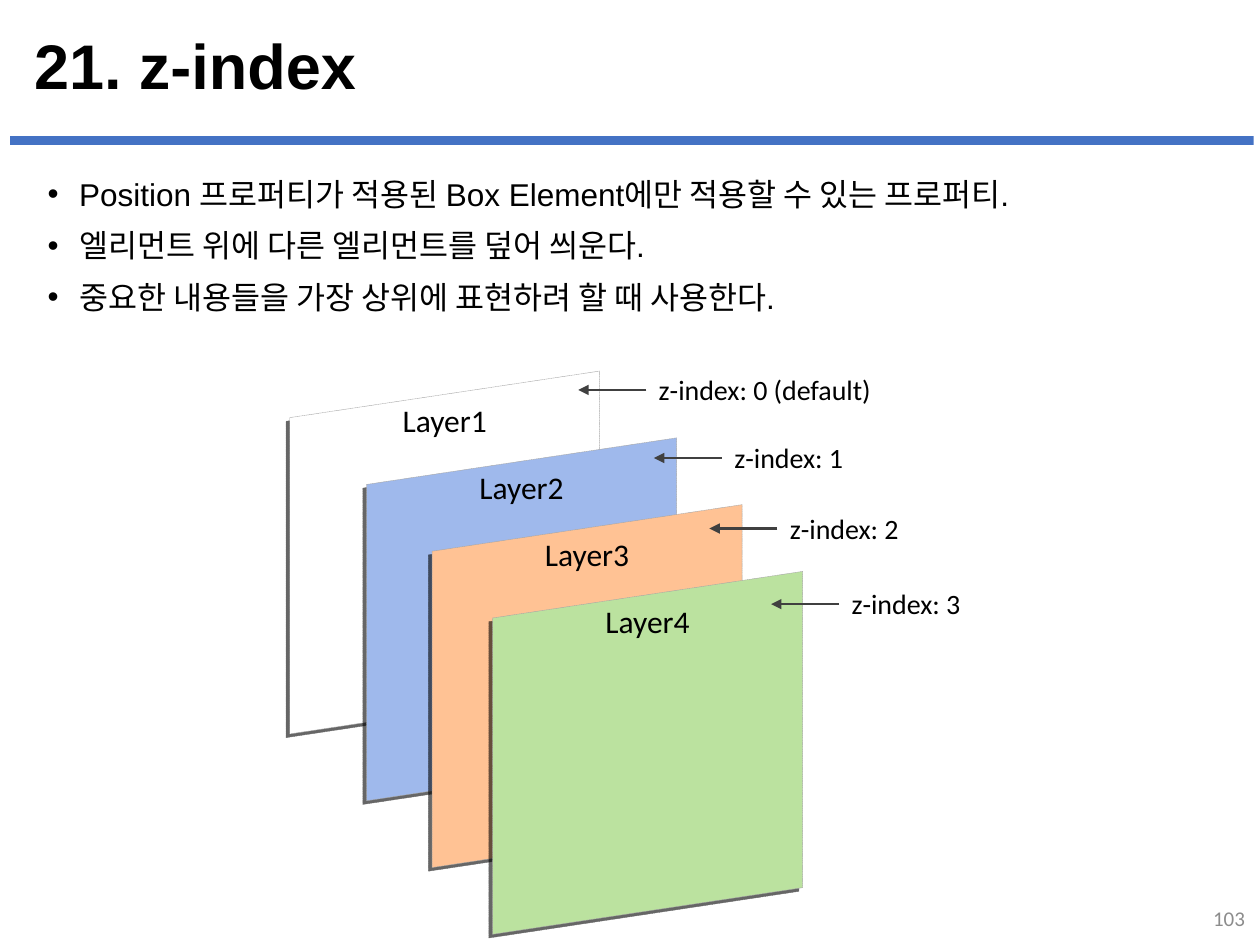
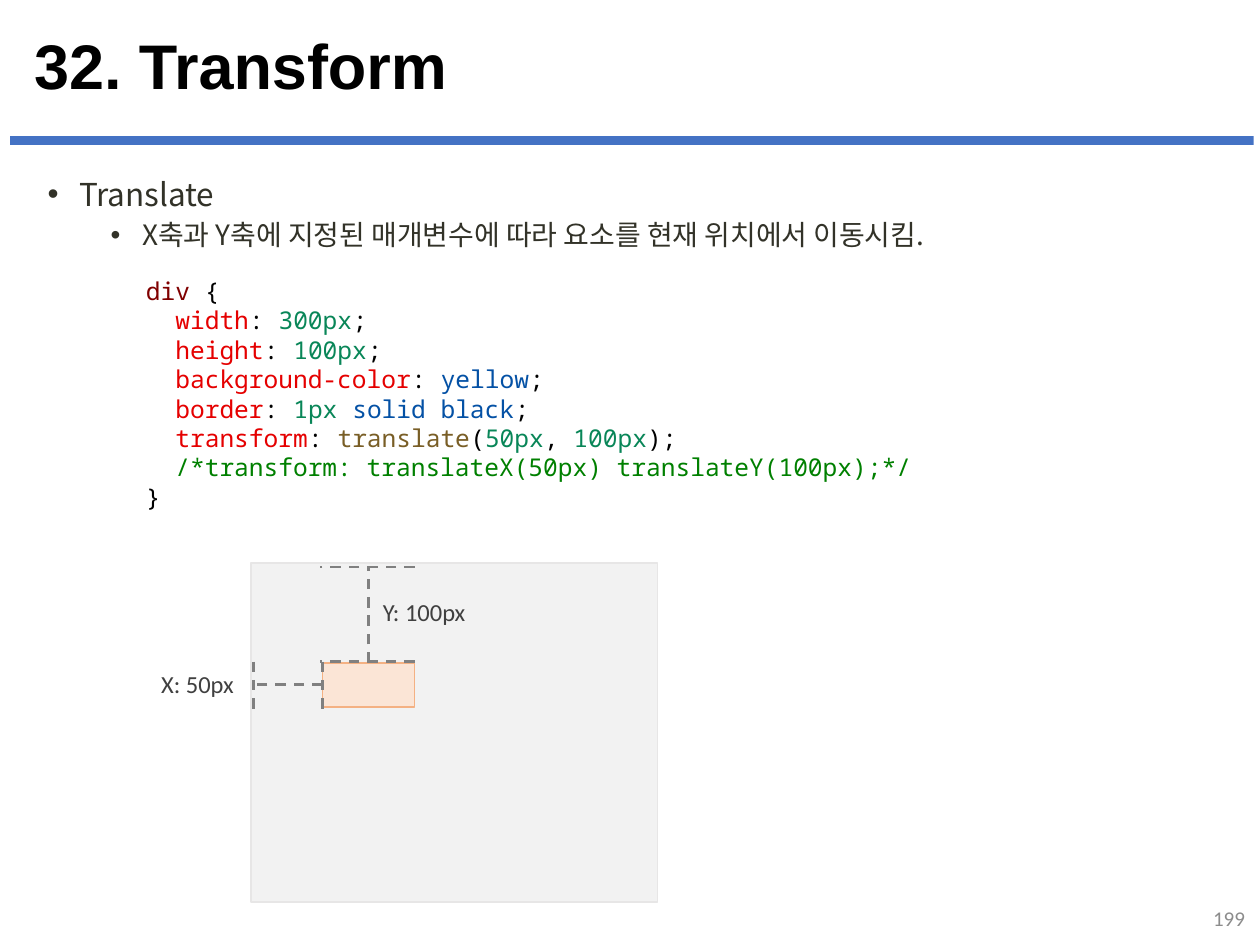
from dataclasses import dataclass

from lxml.etree import SubElement
from pptx import Presentation
from pptx.dml.color import RGBColor
from pptx.enum.dml import MSO_LINE
from pptx.enum.shapes import MSO_CONNECTOR, MSO_SHAPE
from pptx.enum.text import MSO_ANCHOR, PP_ALIGN
from pptx.oxml.ns import qn
from pptx.util import Inches, Pt

COLUMNS, ROWS = 100, 75
TITLE_ONLY = 5
TOP, LEFT = 0, 1


@dataclass(frozen=True)
class Theme:
    heading_font: str = "Arial"
    label_font: str = "Calibri"
    korean_font: str = "Noto Sans CJK KR"
    code_font: str = "Noto Sans Mono"

    title_size: float = 36
    body_size: float = 18
    detail_size: float = 16
    code_size: float = 14
    number_size: float = 12

    ink: str = "000000"
    soft_ink: str = "323228"
    label_ink: str = "404040"
    page_number: str = "8C8C8C"
    band: str = "4472C4"
    panel: str = "F2F2F2"
    panel_edge: str = "E7E6E6"
    box: str = "FBE5D6"
    box_edge: str = "F4B183"
    guide: str = "808080"
    layer_edge: str = "A6A6A6"
    layers: tuple = ("FFFFFF", "9FB9EC", "FFC294", "BBE29F")

    selector: str = "800000"
    attribute: str = "E50000"
    number: str = "098658"
    keyword: str = "0451A5"
    function: str = "795E26"
    comment: str = "008000"


THEME = Theme()


class Deck:
    """Holds the theme and the current slide; all lengths are grid columns and rows."""

    def __init__(self, theme):
        self.theme = theme
        self.presentation = Presentation()
        self.presentation.slide_width = Inches(10)
        self.presentation.slide_height = Inches(7.5)
        self.slide = None

    def x(self, columns):
        return round(self.presentation.slide_width * columns / COLUMNS)

    def y(self, rows):
        return round(self.presentation.slide_height * rows / ROWS)

    def frame(self, place):
        left, top, width, height = place
        return self.x(left), self.y(top), self.x(width), self.y(height)

    def start_slide(self, title, page):
        theme = self.theme
        layout = self.presentation.slide_layouts[TITLE_ONLY]
        self.slide = self.presentation.slides.add_slide(layout)
        self.rectangle((0.8, 10.8, 98.7, 0.7), theme.band)

        heading = self.slide.shapes.title
        heading.left, heading.top, heading.width, heading.height = self.frame(
            (1.7, 2.2, 96.6, 6.6))
        heading.text_frame.vertical_anchor = MSO_ANCHOR.MIDDLE
        paragraph = heading.text_frame.paragraphs[0]
        paragraph.alignment = PP_ALIGN.LEFT
        paragraph.line_spacing = 0.9
        self.run(paragraph, title, theme.title_size, theme.ink,
                 theme.heading_font, bold=True)

        self.label(str(page), (77.3, 70.9, 22.5, 4), theme.number_size,
                   theme.page_number, PP_ALIGN.RIGHT, MSO_ANCHOR.MIDDLE)

    def run(self, paragraph, text, size, color, font, bold=False):
        run = paragraph.add_run()
        run.text = text
        run.font.size = Pt(size)
        run.font.bold = bold
        run.font.name = font
        run.font.color.rgb = RGBColor.from_string(color)
        east_asian = SubElement(run.font._element, qn("a:ea"))
        east_asian.set("typeface", self.theme.korean_font)

    def text_area(self, place, wrap=True):
        area = self.slide.shapes.add_textbox(*self.frame(place))
        area.text_frame.word_wrap = wrap
        return area

    def label(self, text, place, size, color, align=PP_ALIGN.LEFT,
              anchor=MSO_ANCHOR.TOP):
        area = self.text_area(place, wrap=False)
        area.text_frame.vertical_anchor = anchor
        paragraph = area.text_frame.paragraphs[0]
        paragraph.alignment = align
        self.run(paragraph, text, size, color, self.theme.label_font)
        return area

    def paragraphs(self, area, items):
        """Pair each item with a paragraph, the first one being there already."""
        text_frame = area.text_frame
        for index, item in enumerate(items):
            yield (text_frame.add_paragraph() if index
                   else text_frame.paragraphs[0]), item

    def bullets(self, items, font, color):
        """Write (level, text) items as the body of the slide."""
        area = self.text_area((2.8, 13.7, 94, 59.9))
        for paragraph, (level, text) in self.paragraphs(area, items):
            properties = paragraph._p.get_or_add_pPr()
            properties.set("marL", str(self.x(2.5 + 5 * level)))
            properties.set("indent", str(-self.x(2.5)))
            SubElement(properties, qn("a:buFont")).set("typeface", "Arial")
            SubElement(properties, qn("a:buChar")).set("char", "•")
            paragraph.line_spacing = 0.9
            if paragraph._p.getprevious().tag == qn("a:p"):
                paragraph.space_before = Pt(5 if level else 10)
            size = self.theme.detail_size if level else self.theme.body_size
            self.run(paragraph, text, size, color, font)

    def code(self, lines, place):
        """Write lines of (text, colour) tokens."""
        area = self.text_area(place)
        for paragraph, tokens in self.paragraphs(area, lines):
            paragraph.line_spacing = Pt(16.8)
            for text, color in tokens:
                self.run(paragraph, text, self.theme.code_size, color,
                         self.theme.code_font)

    def paint(self, shape, fill, edge=None, weight=1.0):
        shape.shadow.inherit = False
        shape.fill.solid()
        shape.fill.fore_color.rgb = RGBColor.from_string(fill)
        if edge:
            shape.line.color.rgb = RGBColor.from_string(edge)
            shape.line.width = Pt(weight)
        else:
            shape.line.fill.background()

    def rectangle(self, place, fill, edge=None):
        shape = self.slide.shapes.add_shape(MSO_SHAPE.RECTANGLE, *self.frame(place))
        self.paint(shape, fill, edge)
        return shape

    def sheet(self, text, left, top, fill):
        """Draw a slanted sheet with a hard shadow to its lower left."""
        width, height, rise = 24.6, 25.1, 3.7
        right = left + width
        corners = [(left, top + rise), (right, top), (right, top + height),
                   (left, top + rise + height)]
        points = [(self.x(column), self.y(row)) for column, row in corners]
        builder = self.slide.shapes.build_freeform(*points[0])
        builder.add_line_segments(points[1:], close=True)
        shape = builder.convert_to_shape()
        self.paint(shape, fill, self.theme.layer_edge, 0.25)
        shape.line.dash_style = MSO_LINE.SQUARE_DOT

        effects = shape._element.spPr.find(qn("a:effectLst"))
        shadow = SubElement(effects, qn("a:outerShdw"), dist=str(Pt(3)),
                            dir=str(135 * 60000), algn="tr", rotWithShape="0")
        black = SubElement(shadow, qn("a:srgbClr"), val=self.theme.ink)
        SubElement(black, qn("a:alpha"), val="60000")

        text_frame = shape.text_frame
        text_frame.vertical_anchor = MSO_ANCHOR.TOP
        text_frame.margin_top = self.y(2.4)
        paragraph = text_frame.paragraphs[0]
        paragraph.alignment = PP_ALIGN.CENTER
        self.run(paragraph, text, self.theme.body_size, self.theme.ink,
                 self.theme.label_font)

    def line(self, start, end, color, dashed=False, arrow=False, joined=None):
        """Draw a straight line; joined is the (shape, side) it begins at."""
        connector = self.slide.shapes.add_connector(
            MSO_CONNECTOR.STRAIGHT, self.x(start[0]), self.y(start[1]),
            self.x(end[0]), self.y(end[1]))
        if joined:
            connector.begin_connect(*joined)
        connector.line.color.rgb = RGBColor.from_string(color)
        connector.line.width = Pt(1.5)
        if dashed:
            connector.line.dash_style = MSO_LINE.DASH
        if arrow:
            SubElement(connector.line._get_or_add_ln(), qn("a:tailEnd"),
                       type="triangle")
        SubElement(connector._element.spPr, qn("a:effectLst"))


def build_z_index(deck):
    theme = deck.theme
    deck.start_slide("21. z-index", 103)
    deck.bullets([
        (0, "Position 프로퍼티가 적용된 Box Element에만 적용할 수 있는 프로퍼티."),
        (0, "엘리먼트 위에 다른 엘리먼트를 덮어 씌운다."),
        (0, "중요한 내용들을 가장 상위에 표현하려 할 때 사용한다."),
    ], theme.heading_font, theme.ink)

    for index, (left, fill) in enumerate(zip((23, 29.1, 34.3, 39.1), theme.layers)):
        deck.sheet(f"Layer{index + 1}", left, 29.45 + 5.3 * index, fill)

    callouts = ((51.3, 29.1), (57.3, 34.5), (61.7, 40.1), (66.6, 46.1))
    height = 3.7
    for index, (left, top) in enumerate(callouts):
        text = f"z-index: {index}" + ("" if index else " (default)")
        callout = deck.label(text, (left, top, 10.8 if index else 19, height),
                             theme.detail_size, theme.ink)
        middle = top + height / 2
        deck.line((left, middle), (left - 5.4, middle), theme.label_ink,
                  arrow=True, joined=(callout, LEFT))


def declaration(name, *values):
    """Tokens of one indented CSS declaration."""
    ink = THEME.ink
    return [("  ", ink), (name, THEME.attribute), (": ", ink), *values, (";", ink)]


def build_transform(deck):
    theme = deck.theme
    deck.start_slide("32. Transform", 199)
    deck.bullets([
        (0, "Translate"),
        (1, "X축과 Y축에 지정된 매개변수에 따라 요소를 현재 위치에서 이동시킴."),
    ], theme.korean_font, theme.soft_ink)

    ink, number, keyword = theme.ink, theme.number, theme.keyword
    deck.code([
        [("div", theme.selector), (" {", ink)],
        declaration("width", ("300px", number)),
        declaration("height", ("100px", number)),
        declaration("background-color", ("yellow", keyword)),
        declaration("border", ("1px ", number), ("solid black", keyword)),
        declaration("transform", ("translate", theme.function), ("(", ink),
                    ("50px", number), (", ", ink), ("100px", number), (")", ink)),
        [("  ", ink),
         ("/*transform: translateX(50px) translateY(100px);*/", theme.comment)],
        [("}", ink)],
    ], (10.6, 21.4, 73.8, 19.9))

    deck.rectangle((19.9, 44.7, 32.3, 26.9), theme.panel, theme.panel_edge)
    left, top, width, height = 25.6, 52.6, 7.3, 3.5
    moved_box = deck.rectangle((left, top, width, height), theme.box, theme.box_edge)
    center, middle = left + width / 2, top + height / 2
    page_left, page_top = 20.1, 45

    for column in (page_left, left):
        deck.line((column, top - 0.1), (column, top + 3.9), theme.guide, dashed=True)
    for row in (page_top, top - 0.1):
        deck.line((left + width, row), (left - 0.2, row), theme.guide, dashed=True)
    for side, start, end in ((LEFT, (left, middle), (page_left, middle)),
                             (TOP, (center, top), (center, page_top))):
        deck.line(start, end, theme.guide, dashed=True, joined=(moved_box, side))

    for text, place in (("Y: 100px", (29.4, 46.9, 8.7, 3.4)),
                        ("X: 50px", (11.8, 52.6, 7.9, 3.4))):
        deck.label(text, place, theme.code_size, theme.label_ink)


def main():
    deck = Deck(THEME)
    build_z_index(deck)
    build_transform(deck)
    deck.presentation.save("out.pptx")


if __name__ == "__main__":
    main()
